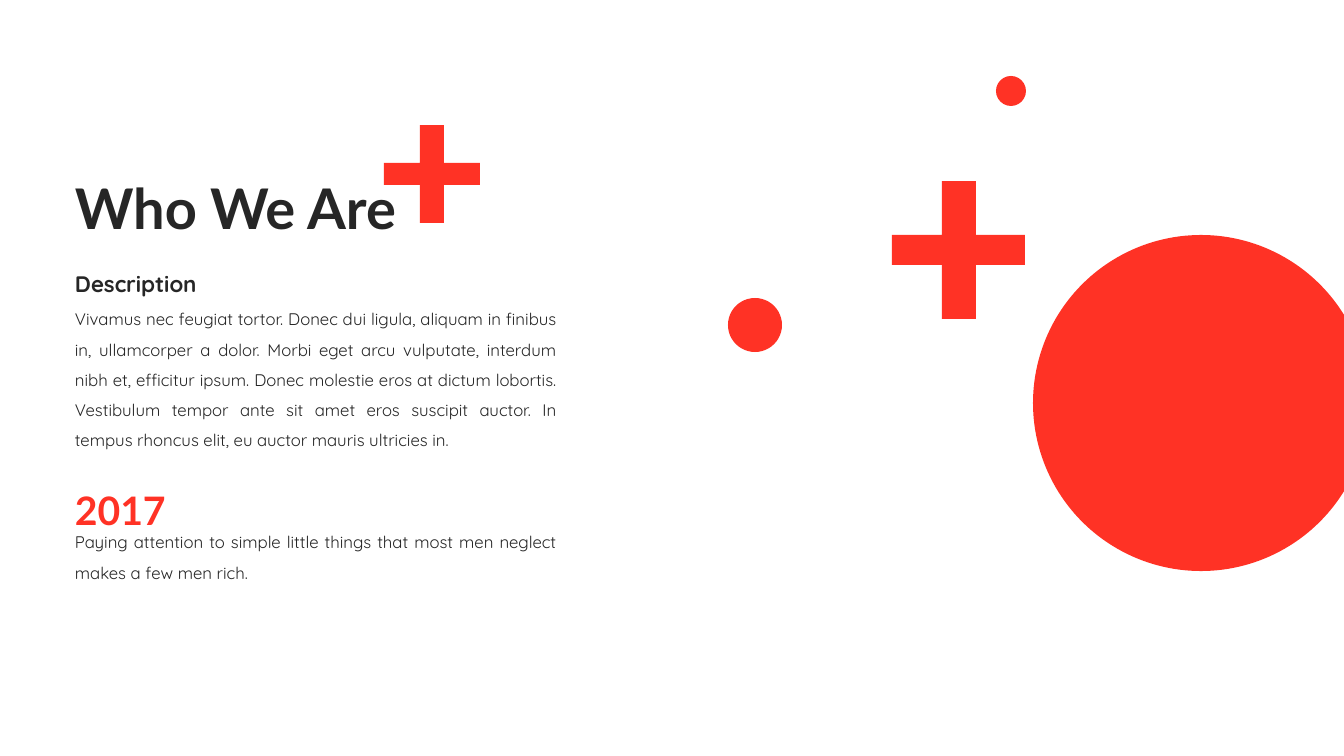
from dataclasses import dataclass

from pptx import Presentation
from pptx.dml.color import RGBColor
from pptx.enum.shapes import MSO_SHAPE
from pptx.enum.text import MSO_ANCHOR, MSO_AUTO_SIZE, PP_ALIGN
from pptx.util import Pt

EMU_PER_PX = 914400 / 100.8
OVAL = MSO_SHAPE.OVAL
TOP, MIDDLE = MSO_ANCHOR.TOP, MSO_ANCHOR.MIDDLE
LEFT, JUSTIFY = PP_ALIGN.LEFT, PP_ALIGN.JUSTIFY
NO_FIT, GROW = MSO_AUTO_SIZE.NONE, MSO_AUTO_SIZE.SHAPE_TO_FIT_TEXT


def px(value):
    return round(value * EMU_PER_PX)


@dataclass(frozen=True)
class Theme:
    accent: RGBColor = RGBColor(0xFF, 0x32, 0x25)
    ink: RGBColor = RGBColor(0x26, 0x26, 0x26)
    display: str = "Lato"
    text: str = "Quicksand"
    title_size: int = 40
    year_size: int = 28
    heading_size: int = 16
    body_size: int = 12


class SlideBuilder:
    def __init__(self, slide, theme):
        self.shapes = slide.shapes
        self.theme = theme

    def paint(self, shape):
        shape.shadow.inherit = False
        shape.fill.solid()
        shape.fill.fore_color.rgb = self.theme.accent
        shape.line.fill.background()

    def circle(self, left, top, diameter):
        self.paint(self.shapes.add_shape(
            OVAL, px(left), px(top), px(diameter), px(diameter)))

    def plus(self, xs, ys):
        """Draw a plus from the four grid lines of each axis."""
        x0, x1, x2, x3 = xs
        y0, y1, y2, y3 = ys
        outline = self.shapes.build_freeform(x1, y0, scale=EMU_PER_PX)
        outline.add_line_segments([
            (x2, y0), (x2, y1), (x3, y1), (x3, y2), (x2, y2), (x2, y3),
            (x1, y3), (x1, y2), (x0, y2), (x0, y1), (x1, y1)], close=True)
        self.paint(outline.convert_to_shape())

    def text(self, words, box, font, size, color=None, bold=False,
             align=JUSTIFY, spacing=1.5, anchor=TOP, fit=GROW):
        frame = self.shapes.add_textbox(*map(px, box)).text_frame
        for name, value in {"word_wrap": True, "auto_size": fit,
                            "vertical_anchor": anchor}.items():
            setattr(frame, name, value)
        paragraph = frame.paragraphs[0]
        paragraph.alignment = align
        paragraph.line_spacing = spacing
        run = paragraph.add_run()
        run.text = words
        for name, value in {"name": font, "size": Pt(size),
                            "bold": bold}.items():
            setattr(run.font, name, value)
        run.font.color.rgb = color or self.theme.ink


def main():
    deck = Presentation()
    deck.slide_width, deck.slide_height = px(1344), px(756)
    theme = Theme()
    page = SlideBuilder(deck.slides.add_slide(deck.slide_layouts[6]), theme)
    margin, column = 65, 502

    page.circle(1033, 235, 336)
    page.text(
        "Vivamus nec feugiat tortor. Donec dui ligula, aliquam in finibus in, "
        "ullamcorper a dolor. Morbi eget arcu vulputate, interdum nibh et, "
        "efficitur ipsum. Donec molestie eros at dictum lobortis. Vestibulum "
        "tempor ante sit amet eros suscipit auctor. In tempus rhoncus elit, "
        "eu auctor mauris ultricies in.",
        (margin, 294, column, 163), theme.text, theme.body_size)
    page.text("Description", (margin, 252, 298, 45),
              theme.text, theme.heading_size, bold=True)
    page.text("2017", (margin, 458, 137, 72),
              theme.display, theme.year_size, theme.accent, bold=True)
    page.text(
        "Paying attention to simple little things that most men neglect "
        "makes a few men rich.",
        (margin, 517, column, 68), theme.text, theme.body_size)
    page.plus((384, 420, 444, 480), (125, 163, 185, 223))
    page.text("Who We Are", (margin, 138, 512, 146),
              theme.display, theme.title_size, bold=True,
              align=LEFT, spacing=0.9, anchor=MIDDLE, fit=NO_FIT)
    page.plus((892, 942, 976, 1025), (181, 235, 265, 319))
    page.circle(728, 298, 54)
    page.circle(996, 76, 30)

    deck.save("out.pptx")


if __name__ == "__main__":
    main()
